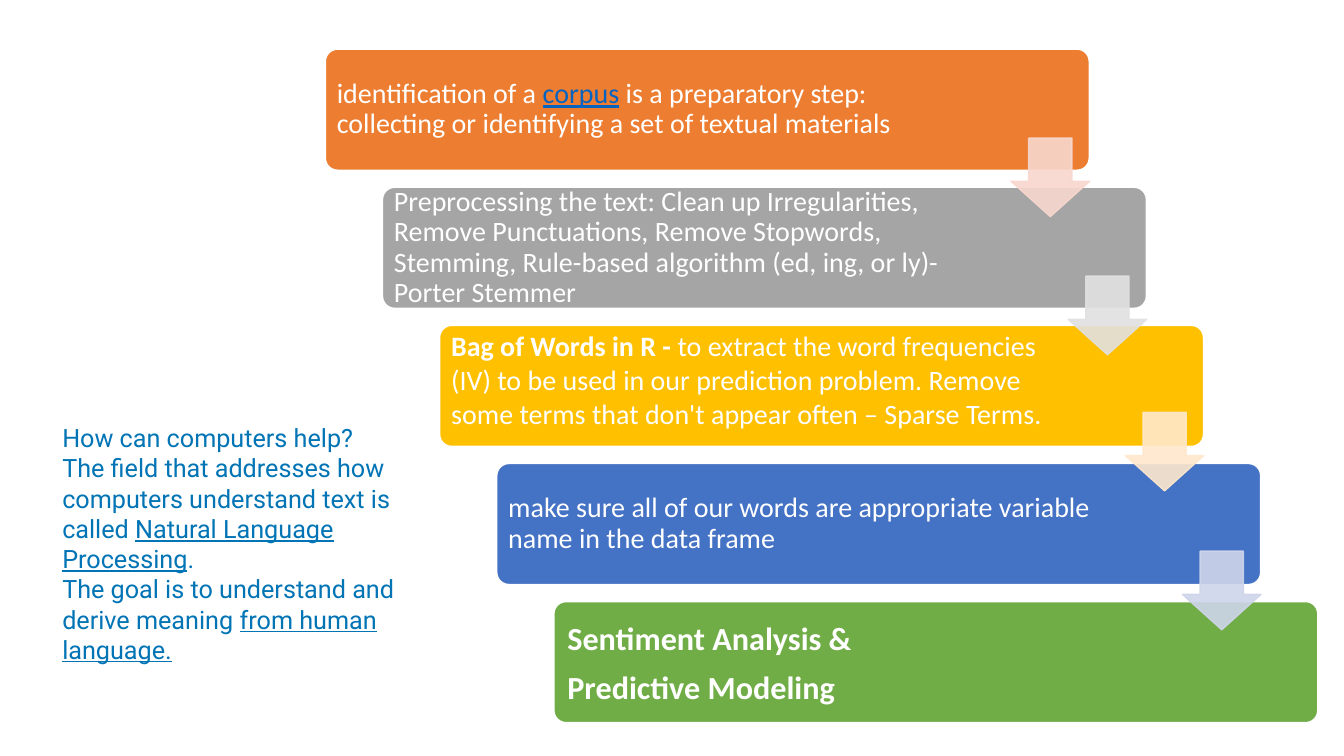
"""Build the slide of five text mining steps with a side note."""
from lxml.etree import SubElement
from pptx import Presentation
from pptx.dml.color import RGBColor
from pptx.enum.shapes import MSO_SHAPE
from pptx.enum.text import MSO_ANCHOR, PP_ALIGN
from pptx.oxml.ns import qn
from pptx.util import Cm, Pt

WHITE = RGBColor(0xFF, 0xFF, 0xFF)
LINK = RGBColor(0x05, 0x63, 0xC1)
BLUE = RGBColor(0x00, 0x74, 0xB5)
ORANGE = RGBColor(0xED, 0x7D, 0x31)
GREY = RGBColor(0xA5, 0xA5, 0xA5)
GOLD = RGBColor(0xFF, 0xC0, 0x00)
ROYAL = RGBColor(0x44, 0x72, 0xC4)
GREEN = RGBColor(0x70, 0xAD, 0x47)
PEACH = RGBColor(0xF8, 0xD7, 0xCE)
SILVER = RGBColor(0xE1, 0xE1, 0xE1)
CREAM = RGBColor(0xFF, 0xE8, 0xCC)
LILAC = RGBColor(0xCF, 0xD5, 0xEA)


def add_shape(kind, left, top, width, height, fill, line):
    shape = slide.shapes.add_shape(kind, Cm(left), Cm(top), Cm(width), Cm(height))
    shape.shadow.inherit = False
    shape.fill.solid()
    shape.fill.fore_color.rgb = fill
    shape.line.color.rgb = line
    shape.line.width = Pt(1)
    return shape


def add_text(frame, paras, font, size, color, space=1.0, after=0):
    frame.word_wrap = True
    for i, runs in enumerate(paras):
        para = frame.paragraphs[0] if i == 0 else frame.add_paragraph()
        para.alignment = PP_ALIGN.LEFT
        para.line_spacing = space
        para.space_after = Pt(after)
        for text, style in runs:
            run = para.add_run()
            run.text = text
            run.font.name = font
            run.font.size = Pt(size)
            run.font.bold = style == "bold"
            run.font.underline = style in ("link", "under")
            run.font.color.rgb = LINK if style == "link" else color


deck = Presentation()
deck.slide_width, deck.slide_height = Cm(33.87), Cm(19.05)
slide = deck.slides.add_slide(deck.slide_layouts[6])

MID, TOP = MSO_ANCHOR.MIDDLE, MSO_ANCHOR.TOP
steps = [
    (ORANGE, 20, 0.9, 0.2, MID, [[
        ("identification of a\u00a0", ""), ("corpus", "link"),
        ("\u00a0is a preparatory step: collecting or identifying a set of "
         "textual materials", "")]]),
    (GREY, 20, 0.9, 0.2, MID, [[
        ("Preprocessing the text: Clean up Irregularities, Remove Punctuations, "
         "Remove Stopwords, Stemming, Rule-based algorithm (ed, ing, or ly)-"
         "Porter Stemmer", "")]]),
    (GOLD, 20, 1.0, 0.2, TOP, [[
        ("Bag of Words in R - ", "bold"),
        ("to extract the word frequencies (IV) to be used in our prediction "
         "problem. Remove some terms that don't appear often \u2013 Sparse Terms.",
         "")]]),
    (ROYAL, 20, 0.9, 0.2, MID, [[
        ("make sure all of our words are appropriate variable name in the "
         "data frame", "")]]),
    (GREEN, 23, 1.0, 0.25, MID, [
        [("Sentiment Analysis &", "bold")], [("Predictive Modeling", "bold")]]),
]
SHIFT, DROP = 1.44, 3.48
for i, (fill, size, space, inset, anchor, paras) in enumerate(steps):
    box = add_shape(MSO_SHAPE.ROUNDED_RECTANGLE, 8.2 + i * SHIFT, 1.24 + i * DROP,
                    19.25, 3.05, fill, WHITE)
    box.adjustments[0] = 0.1
    frame = box.text_frame
    frame.vertical_anchor = anchor
    frame.margin_left, frame.margin_right = Cm(inset), Cm(3.64)
    frame.margin_top = frame.margin_bottom = Cm(0 if anchor == TOP else inset)
    after = 8 if len(paras) > 1 else 0
    add_text(frame, paras, "Calibri", size, WHITE, space, after)

arrows = [(PEACH, 3.48), (SILVER, 6.96), (CREAM, 10.39), (LILAC, 13.89)]
for i, (fill, top) in enumerate(arrows):
    arrow = add_shape(MSO_SHAPE.DOWN_ARROW, 25.48 + i * SHIFT, top, 1.98, 1.98,
                      fill, fill)
    arrow.adjustments[0] = 0.45
    arrow.adjustments[1] = 0.45
    arrow.adjustments[0] = 0.55
    for color in arrow.element.spPr.iter(qn("a:srgbClr")):
        SubElement(color, qn("a:alpha"), val="90000")

note = slide.shapes.add_textbox(Cm(1.32), Cm(10.52), Cm(9.88), Cm(6.4))
add_text(note.text_frame, [
    [("How can computers help?", "")],
    [("The field that addresses how computers understand text is called ", ""),
     ("Natural Language Processing", "under"), (".", "")],
    [("The goal is to understand and derive meaning ", ""),
     ("from human language.", "under")],
], "Roboto", 18, BLUE)

deck.save("out.pptx")
